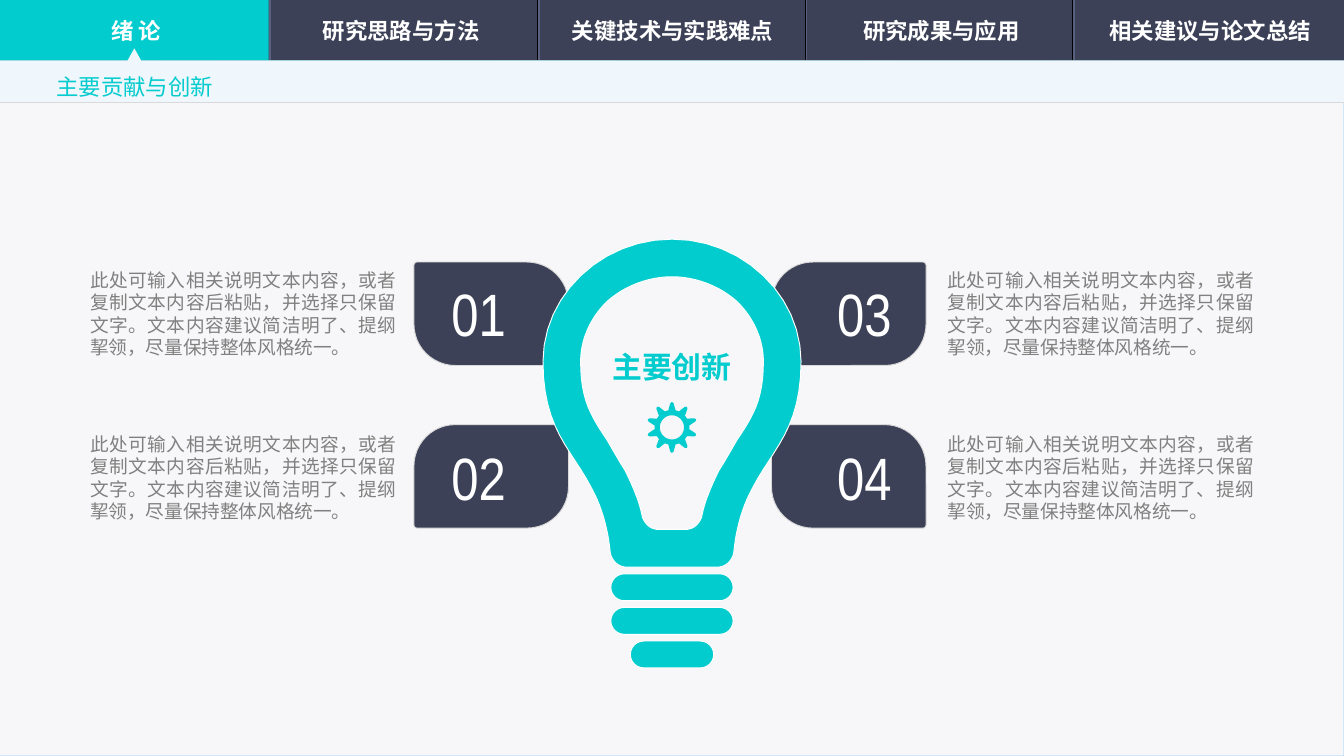
import math

import pptx
import pptx.util
import pptx.dml.color
import pptx.enum.shapes
import pptx.enum.text
import pptx.oxml
import pptx.oxml.ns
from pptx.util import Inches

COLORS = {
    "teal": "03CCCE", "navy": "3C4157", "slate": "3B445B", "groove": "596181",
    "panel": "F7F7F9", "edge": "D4E7F9", "band": "EFF6FC", "rule": "D9D9D9",
    "grey": "808080", "white": "FFFFFF", "black": "000000",
}
SHAPE = pptx.enum.shapes.MSO_SHAPE
ALIGN = pptx.enum.text.PP_ALIGN
ANCHOR = pptx.enum.text.MSO_ANCHOR
CJK = "Noto Sans CJK SC"
TABS = [(0.02, "绪 论"), (1.99, "研究思路与方法"), (4.01, "关键技术与实践难点"),
        (6.01, "研究成果与应用"), (8.01, "相关建议与论文总结")]
BODY = ("此处可输入相关说明文本内容，或者复制文本内容后粘贴，并选择只保留文字。"
        "文本内容建议简洁明了、提纲挈领，尽量保持整体风格统一。")
CARDS = [("01", 3.08, 1.95, 3.26, 0.67, 2), ("02", 3.08, 3.16, 3.26, 0.67, 3.22),
         ("03", 5.74, 1.95, 6.13, 7.05, 2), ("04", 5.74, 3.16, 6.13, 7.05, 3.22)]
BULB_OUTER = [(5, 1.78), (4.47, 1.78), (4.04, 2.2), (4.04, 2.69),
              (4.04, 3.19), (4.25, 3.34), (4.4, 3.63),
              (4.5, 3.81), (4.53, 4), (4.54, 4.11),
              (4.55, 4.17), (4.6, 4.22), (4.66, 4.22)]
BULB_INNER = [(5, 2.06), (4.82, 2.06), (4.64, 2.13), (4.51, 2.25),
              (4.39, 2.37), (4.32, 2.53), (4.32, 2.69),
              (4.32, 2.98), (4.4, 3.1), (4.52, 3.28),
              (4.56, 3.35), (4.6, 3.42), (4.65, 3.5),
              (4.71, 3.62), (4.76, 3.74), (4.78, 3.85),
              (4.8, 3.9), (4.84, 3.94), (4.9, 3.94)]


def rgb(name):
    return pptx.dml.color.RGBColor.from_string(COLORS[name])


def paint(sp, fill, line=None):
    sp.shadow.inherit = False
    sp.fill.solid()
    sp.fill.fore_color.rgb = rgb(fill)
    if line:
        sp.line.color.rgb = rgb(line)
        sp.line.width = pptx.util.Pt(0.5)
    else:
        sp.line.fill.background()


def add_box(s, kind, box, fill, line=None, adjust=()):
    sp = s.shapes.add_shape(kind, *map(Inches, box))
    for i, value in enumerate(adjust):
        sp.adjustments[i] = value
    paint(sp, fill, line)


def add_outline(s, contours, fill, line=None):
    scaled = [[(Inches(x), Inches(y)) for x, y in c] for c in contours]
    builder = s.shapes.build_freeform(*scaled[0][0], scale=1.0)
    for i, points in enumerate(scaled):
        if i:
            builder.move_to(*points[0])
        builder.add_line_segments(points[1:], close=True)
    paint(builder.convert_to_shape(), fill, line)


def add_line(s, x1, y1, x2, y2, color, width):
    straight = pptx.enum.shapes.MSO_CONNECTOR.STRAIGHT
    c = s.shapes.add_connector(straight, *map(Inches, (x1, y1, x2, y2)))
    c.line.color.rgb = rgb(color)
    c.line.width = pptx.util.Pt(width)
    effects = pptx.oxml.parse_xml("<a:effectLst %s/>" % pptx.oxml.ns.nsdecls("a"))
    c.element.spPr.append(effects)


def write(sp, text, size, color, font, align=ALIGN.LEFT, bold=False, wrap=True,
          anchor=ANCHOR.TOP, spacing=None, inset=None):
    tf = sp.text_frame
    tf.text = text
    tf.word_wrap = wrap
    tf.auto_size = pptx.enum.text.MSO_AUTO_SIZE.NONE
    tf.vertical_anchor = anchor
    if inset is not None:
        tf.margin_left = tf.margin_right = Inches(inset)
        tf.margin_top = tf.margin_bottom = Inches(inset)
    p = tf.paragraphs[0]
    p.alignment = align
    if spacing:
        p.line_spacing = spacing
    p.font.size = pptx.util.Pt(size)
    p.font.bold = bold
    p.font.name = font
    p.font.color.rgb = rgb(color)
    ea = pptx.oxml.parse_xml(
        '<a:ea %s typeface="%s"/>' % (pptx.oxml.ns.nsdecls("a"), CJK))
    p._p.find(".//" + pptx.oxml.ns.qn("a:defRPr")).append(ea)


def add_text(s, box, *args, **kwargs):
    write(s.shapes.add_textbox(*map(Inches, box)), *args, **kwargs)


def curve(points, steps=12):
    result = [points[0]]
    for i in range(0, len(points) - 1, 3):
        a, b, c, d = points[i:i + 4]
        for t in (k / steps for k in range(1, steps + 1)):
            u = 1 - t
            weights = (u ** 3, 3 * u * u * t, 3 * u * t * t, t ** 3)
            result.append(tuple(
                sum(w * q[axis] for w, q in zip(weights, (a, b, c, d)))
                for axis in (0, 1)))
    return result


def symmetric(points):
    left = curve(points)
    return left + [(10 - x, y) for x, y in reversed(left[1:])]


def polar(cx, cy, radius, degrees):
    a = math.radians(degrees)
    return cx + radius * math.sin(a), cy - radius * math.cos(a)


def add_gear(s, cx, cy):
    tooth = [(-12, 0.13), (-4, 0.18), (0, 0.19), (4, 0.18), (12, 0.13)]
    rim = [polar(cx, cy, r, 36 * k + a) for k in range(10) for a, r in tooth]
    hole = [polar(cx, cy, 0.09, a) for a in range(0, 360, 10)]
    add_outline(s, [rim, hole], "teal")


def add_header(s):
    add_box(s, SHAPE.RECTANGLE, (0, 0, 10, 0.45), "navy")
    for x, gap in ((1.99, 0.02), (4, 0.01), (5.99, 0.01), (7.98, 0.01)):
        add_line(s, x, 0, x, 0.45, "black", 0.5)
        add_line(s, x + gap, 0, x + gap, 0.45, "groove", 0.75)
    add_box(s, SHAPE.RECTANGLE, (0, 0.76, 10, 4.86), "panel", "edge")
    add_box(s, SHAPE.RECTANGLE, (0, 0, 2, 0.45), "teal")
    band = [(1, 0.36), (1.05, 0.45), (10, 0.45), (10, 0.76),
            (0, 0.76), (0, 0.45), (0.95, 0.45)]
    add_outline(s, [band], "band")
    add_line(s, 0, 0.76, 10, 0.76, "rule", 0.5)
    for x, label in TABS:
        add_text(s, (x, 0.07, 1.99, 0.31), label, 12, "white", CJK,
                 align=ALIGN.CENTER, bold=True, anchor=ANCHOR.MIDDLE)


def add_title(s):
    title = s.shapes.title
    title.left, title.top, title.width, title.height = map(
        Inches, (0.32, 0.41, 1.38, 0.37))
    write(title, "主要贡献与创新", 12, "teal", CJK, wrap=False,
          anchor=ANCHOR.MIDDLE, spacing=1.5)
    title.element.getparent().append(title.element)


def add_bulb(s):
    add_outline(s, [symmetric(BULB_OUTER), symmetric(BULB_INNER)], "teal", "white")
    for i, width in enumerate((0.91, 0.91, 0.62)):
        box = (5 - width / 2, 4.27 + 0.25 * i, width, 0.2)
        add_box(s, SHAPE.ROUNDED_RECTANGLE, box, "teal", "white", (0.5,))
    add_gear(s, 5, 3.18)
    add_text(s, (4.45, 2.41, 1.1, 0.46), "主要创新", 16, "teal", "Arial Narrow",
             align=ALIGN.CENTER, bold=True, wrap=False, spacing=1.5)


def main():
    prs = pptx.Presentation()
    prs.slide_width = Inches(10)
    prs.slide_height = prs.slide_width * 9 // 16
    s = prs.slides.add_slide(prs.slide_layouts[5])
    fill = s.background.fill
    fill.gradient()
    fill.gradient_angle = 315
    for stop, name in zip(fill.gradient_stops, ("teal", "slate")):
        stop.color.rgb = rgb(name)
    add_header(s)
    for number, x, y, *_ in CARDS:
        adjust = (0.03, 0.4) if number in ("01", "04") else (0.4, 0.03)
        add_box(s, SHAPE.ROUND_2_DIAG_RECTANGLE, (x, y, 1.15, 0.77),
                "navy", "rule", adjust)
    add_bulb(s)
    for number, _, _, number_x, body_x, body_y in CARDS:
        add_text(s, (number_x, body_y + 0.01, 0.67, 0.64), number, 32, "white",
                 "Arial Narrow")
        add_text(s, (body_x, body_y, 2.28, 0.67), BODY, 10, "grey", "Arial",
                 align=ALIGN.JUSTIFY, inset=0)
    add_title(s)
    prs.save("out.pptx")


main()
